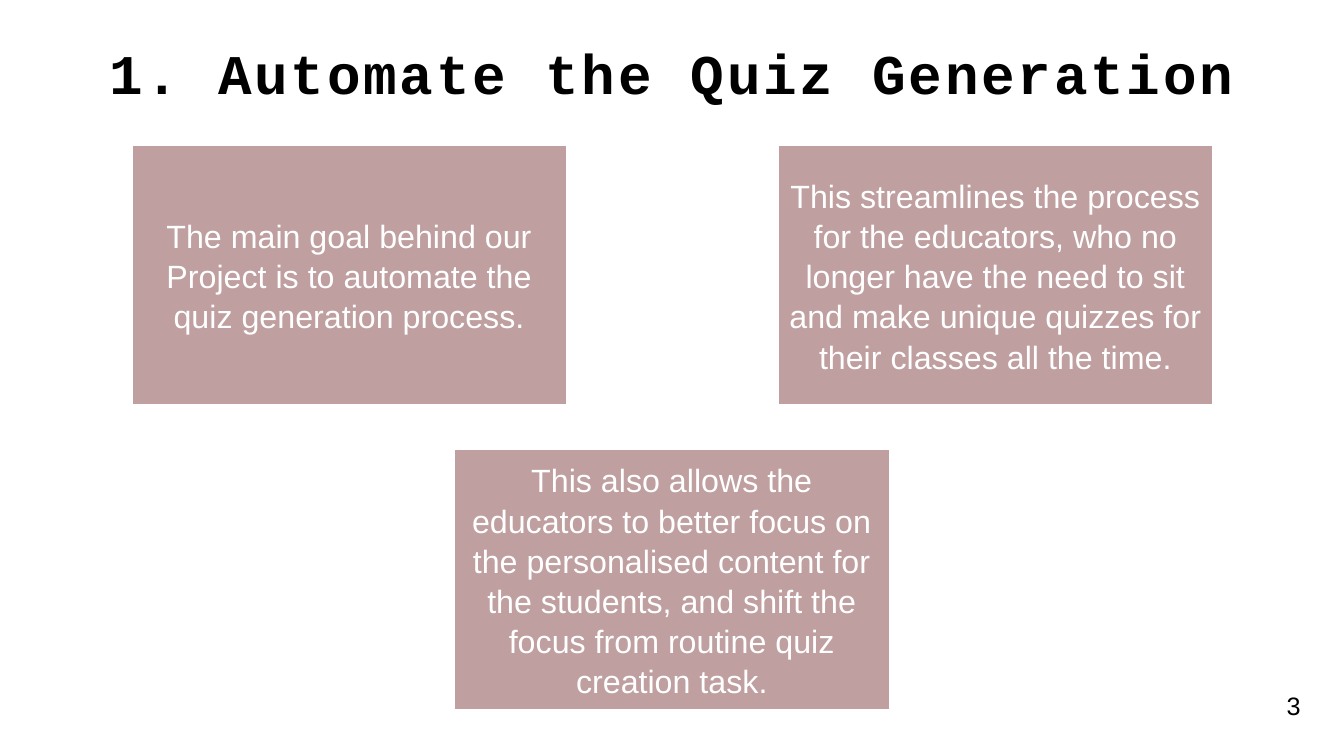
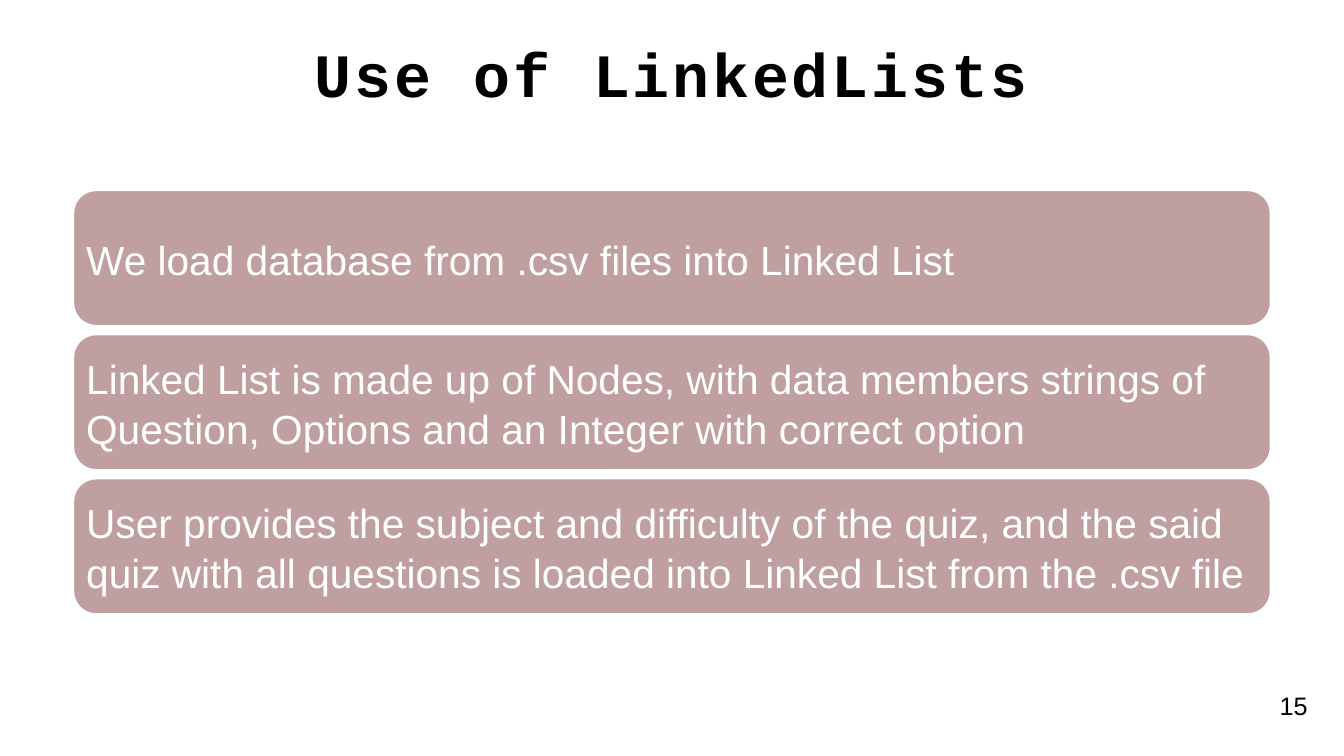
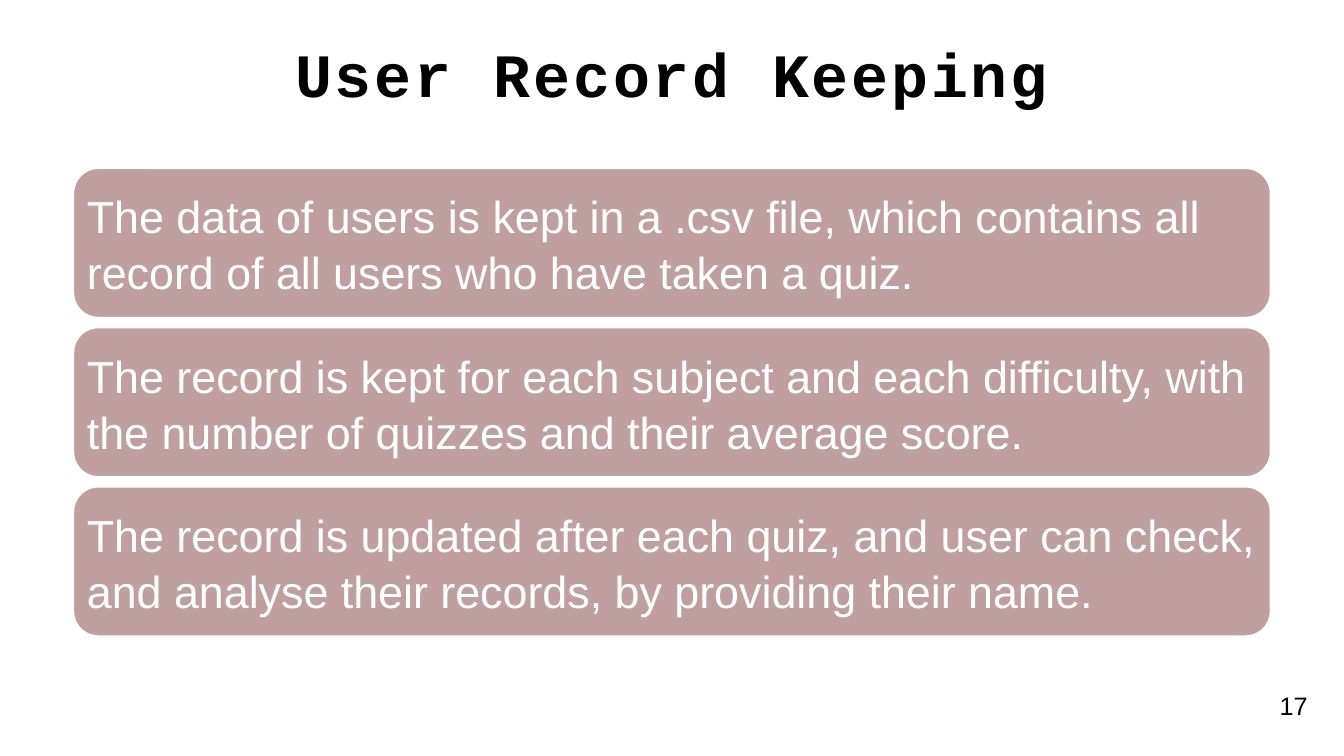
"""Build three slides about a quiz project: a title, filled text panels and a page number."""
from dataclasses import dataclass

from pptx import Presentation
from pptx.dml.color import RGBColor
from pptx.enum.shapes import MSO_SHAPE
from pptx.enum.text import MSO_ANCHOR, PP_ALIGN
from pptx.shapes.autoshape import Shape
from pptx.slide import Slide
from pptx.util import Emu, Pt

EMU_PER_PX = 9144
SLIDE_WIDTH, SLIDE_HEIGHT = 1333, 750
BLANK_LAYOUT = 6

BLACK = RGBColor(0x00, 0x00, 0x00)
WHITE = RGBColor(0xFF, 0xFF, 0xFF)
ROSE = RGBColor(0xBF, 0x9F, 0x9F)

BODY_FONT = "Arial"
TITLE_FONT = "Courier New"
CONTENT_LEFT, CONTENT_WIDTH = 73, 1187


@dataclass(frozen=True)
class Box:
    left: int
    top: int
    width: int
    height: int


@dataclass(frozen=True)
class TextStyle:
    size: int
    color: RGBColor
    font: str = BODY_FONT
    bold: bool = False
    tracking: int = 0
    align: PP_ALIGN = PP_ALIGN.CENTER
    line_spacing: float = 1.0


@dataclass(frozen=True)
class PanelStyle:
    outline: MSO_SHAPE
    text: TextStyle
    inset: int


@dataclass(frozen=True)
class Page:
    number: int
    title: str
    title_size: int
    panel_style: PanelStyle
    boxes: list[Box]
    texts: list[str]


TITLE_BOX = Box(CONTENT_LEFT, 48, CONTENT_WIDTH, 48)
NUMBER_BOX = Box(1259, 680, 48, 40)


def px(length: int) -> Emu:
    """Turn whole px into EMU."""
    return Emu(length * EMU_PER_PX)


def place(box: Box) -> tuple[Emu, Emu, Emu, Emu]:
    """Give the four lengths of a box in EMU."""
    return px(box.left), px(box.top), px(box.width), px(box.height)


def centred_grid(rows: list[int], top: int, width: int, height: int, gap_x: int, gap_y: int) -> list[Box]:
    """Lay out rows of equal boxes, each row centred on the slide."""
    boxes = []
    for row, count in enumerate(rows):
        row_width = count * width + (count - 1) * gap_x
        left = (SLIDE_WIDTH - row_width + 1) // 2
        for column in range(count):
            boxes.append(Box(left + column * (width + gap_x), top + row * (height + gap_y), width, height))
    return boxes


def stack(count: int, top: int, height: int, gap: int) -> list[Box]:
    """Lay out full-width boxes one below the other."""
    return [Box(CONTENT_LEFT, top + row * (height + gap), CONTENT_WIDTH, height) for row in range(count)]


def write(shape: Shape, text: str, style: TextStyle, inset: int) -> None:
    """Put one styled paragraph, vertically centred, into a shape."""
    frame = shape.text_frame
    frame.word_wrap = True
    frame.vertical_anchor = MSO_ANCHOR.MIDDLE
    frame.margin_left = frame.margin_right = px(inset)
    frame.margin_top = frame.margin_bottom = px(inset)
    paragraph = frame.paragraphs[0]
    paragraph.alignment = style.align
    paragraph.line_spacing = style.line_spacing
    run = paragraph.add_run()
    run.text = text
    run.font.name = style.font
    run.font.size = Pt(style.size)
    run.font.bold = style.bold
    run.font.color.rgb = style.color
    if style.tracking:
        run._r.get_or_add_rPr().set("spc", str(style.tracking * 100))


def add_label(slide: Slide, box: Box, text: str, style: TextStyle, inset: int) -> None:
    """Add a plain text box."""
    write(slide.shapes.add_textbox(*place(box)), text, style, inset)


def add_panel(slide: Slide, box: Box, text: str, style: PanelStyle) -> None:
    """Add a filled panel that holds its own text."""
    shape = slide.shapes.add_shape(style.outline, *place(box))
    shape.shadow.inherit = False
    shape.fill.solid()
    shape.fill.fore_color.rgb = ROSE
    shape.line.color.rgb = WHITE
    shape.line.width = Pt(1)
    write(shape, text, style.text, style.inset)


def card_style() -> PanelStyle:
    """Give the style of square-cornered cards."""
    return PanelStyle(MSO_SHAPE.RECTANGLE, TextStyle(23, WHITE, line_spacing=1.04), 10)


def bar_style(size: int) -> PanelStyle:
    """Give the style of rounded bars with left-aligned text."""
    text = TextStyle(size, WHITE, align=PP_ALIGN.LEFT, line_spacing=1.04)
    return PanelStyle(MSO_SHAPE.ROUNDED_RECTANGLE, text, 6)


PAGES = [
    Page(3, "1. Automate the Quiz Generation", 40, card_style(),
         centred_grid([2, 1], top=144, width=431, height=258, gap_x=210, gap_y=44), [
             "The main goal behind our Project is to automate the quiz generation process.",
             "This streamlines the process for the educators, who no longer have the need to sit "
             "and make unique quizzes for their classes all the time.",
             "This also allows the educators to better focus on the personalised content for the "
             "students, and shift the focus from routine quiz creation task.",
         ]),
    Page(15, "Use of LinkedLists", 44, bar_style(29), stack(3, top=189, height=134, gap=9), [
        "We load database from .csv files into Linked List",
        "Linked List is made up of Nodes, with data members strings of Question, Options and an "
        "Integer with correct option",
        "User provides the subject and difficulty of the quiz, and the said quiz with all "
        "questions is loaded into Linked List from the .csv file",
    ]),
    Page(17, "User Record Keeping", 44, bar_style(32), stack(3, top=167, height=148, gap=10), [
        "The data of users is kept in a .csv file, which contains all record of all users who "
        "have taken a quiz.",
        "The record is kept for each subject and each difficulty, with the number of quizzes and "
        "their average score.",
        "The record is updated after each quiz, and user can check, and analyse their records, by "
        "providing their name.",
    ]),
]


def main() -> None:
    """Draw every page and save the presentation."""
    presentation = Presentation()
    presentation.slide_width = px(SLIDE_WIDTH)
    presentation.slide_height = px(SLIDE_HEIGHT)
    for page in PAGES:
        slide = presentation.slides.add_slide(presentation.slide_layouts[BLANK_LAYOUT])
        title_style = TextStyle(page.title_size, BLACK, TITLE_FONT, bold=True, tracking=2)
        add_label(slide, TITLE_BOX, page.title, title_style, inset=5)
        for box, text in zip(page.boxes, page.texts):
            add_panel(slide, box, text, page.panel_style)
        add_label(slide, NUMBER_BOX, str(page.number), TextStyle(18, BLACK), inset=5)
    presentation.save("out.pptx")


if __name__ == "__main__":
    main()
